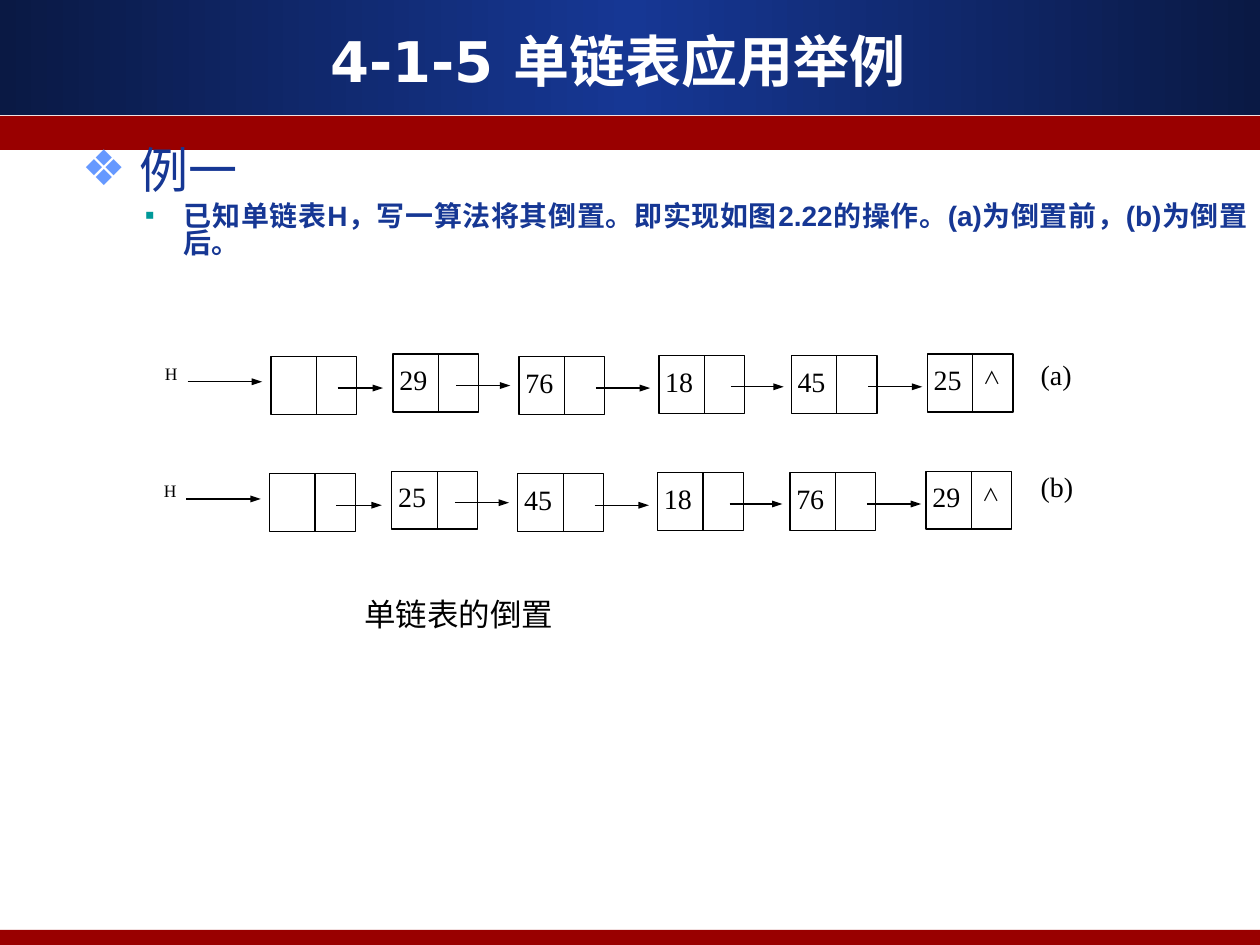
from copy import deepcopy
from dataclasses import dataclass

from pptx import Presentation
from pptx.dml.color import RGBColor
from pptx.enum.shapes import MSO_CONNECTOR, MSO_SHAPE
from pptx.enum.text import MSO_ANCHOR, MSO_AUTO_SIZE, PP_ALIGN
from pptx.oxml.ns import qn
from pptx.util import Inches, Pt

RECT = MSO_SHAPE.RECTANGLE
STRAIGHT = MSO_CONNECTOR.STRAIGHT
LEFT, CENTER, JUSTIFY = PP_ALIGN.LEFT, PP_ALIGN.CENTER, PP_ALIGN.JUSTIFY
TOP, MIDDLE = MSO_ANCHOR.TOP, MSO_ANCHOR.MIDDLE
NO_FIT = MSO_AUTO_SIZE.NONE
SERIF, SANS, TITLE_FONT, CJK = "Times New Roman", "Arial", "DejaVu Sans", "Noto Sans CJK SC"
BLACK, WHITE, NAVY, BLUE, RED = "000000", "FFFFFF", "0A1944", "163794", "990000"
NODE_W, NODE_H, DIVIDER_X, LINK_Y = 0.68, 0.46, 0.36, 0.25


@dataclass
class Slot:
    x: float
    y: float
    link: tuple[float, float] | None = None


@dataclass
class LinkedList:
    dx: float
    dy: float
    values: tuple[str, ...]
    label: str
    label_y: float


SLOTS = [
    Slot(2.15, 2.83, (2.68, 3.04)),
    Slot(3.12, 2.81, (3.62, 4.05)),
    Slot(4.12, 2.83, (4.73, 5.16)),
    Slot(5.23, 2.82, (5.8, 6.22)),
    Slot(6.28, 2.82, (6.89, 7.32)),
    Slot(7.36, 2.81),
]
LISTS = [
    LinkedList(0, 0, ("", "29", "76", "18", "45", "25"), "(a)", 2.84),
    LinkedList(-0.01, 0.93, ("", "25", "45", "18", "76", "29"), "(b)", 3.73),
]


def rgb(color: str) -> RGBColor:
    return RGBColor.from_string(color)


def write(p, text: str, *, size: float, font: str = SERIF, color: str = BLACK,
          bold: bool = False, align=JUSTIFY) -> None:
    p.alignment = align
    r = p.add_run()
    r.text = text
    r.font.size, r.font.name, r.font.bold = Pt(size), font, bold
    r.font.color.rgb = rgb(color)
    r.font._element.get_or_add_latin().addnext(
        r.font._element.makeelement(qn("a:ea"), {"typeface": CJK}))


def place(sp, x: float, y: float, w: float, h: float, anchor) -> None:
    sp.left, sp.top, sp.width, sp.height = map(Inches, (x, y, w, h))
    tf = sp.text_frame
    tf.word_wrap, tf.auto_size, tf.vertical_anchor = True, NO_FIT, anchor


def add_label(s, text: str, x: float, y: float, w: float, h: float,
              indent: float = 0, **fmt) -> None:
    sp = s.shapes.add_textbox(0, 0, 0, 0)
    place(sp, x, y, w, h, TOP)
    tf = sp.text_frame
    tf.margin_left = Inches(indent)
    tf.margin_top = tf.margin_right = tf.margin_bottom = 0
    write(tf.paragraphs[0], text, **fmt)


def add_rect(s, x: float, y: float, w: float, h: float, fill: str, line: str | None = None):
    sp = s.shapes.add_shape(RECT, *map(Inches, (x, y, w, h)))
    sp.shadow.inherit = False
    sp.fill.solid()
    sp.fill.fore_color.rgb = rgb(fill)
    if line:
        sp.line.color.rgb = rgb(line)
        sp.line.width = Pt(0.75)
    else:
        sp.line.fill.background()
    return sp


def add_line(s, x1: float, y1: float, x2: float, y2: float, arrow: bool = False) -> None:
    c = s.shapes.add_connector(STRAIGHT, *map(Inches, (x1, y1, x2, y2)))
    c.line.color.rgb = rgb(BLACK)
    c.line.width = Pt(0.75)
    pr = c._element.spPr
    if arrow:
        ln = c.line._get_or_add_ln()
        ln.append(ln.makeelement(qn("a:tailEnd"), {"type": "triangle", "w": "sm", "len": "med"}))
    pr.append(pr.makeelement(qn("a:effectLst"), {}))


def set_gradient(sp, colors: tuple[str, ...]) -> None:
    sp.fill.gradient()
    sp.fill.gradient_angle = 0
    stops = sp.fill.gradient_stops
    first = stops[0]._gs
    first.addnext(deepcopy(first))
    for i, (stop, color) in enumerate(zip(sp.fill.gradient_stops, colors)):
        stop.position = i / (len(colors) - 1)
        stop.color.rgb = rgb(color)


def set_bullet(p, char: str, color: str, margin: float, hang: float, before: float) -> None:
    p.line_spacing = 0.8
    p.space_before = Pt(before)
    pr = p._p.get_or_add_pPr()
    pr.set("marL", str(Inches(margin)))
    pr.set("indent", str(-Inches(hang)))
    clr = pr.makeelement(qn("a:buClr"), {})
    clr.append(clr.makeelement(qn("a:srgbClr"), {"val": color}))
    pr.append(clr)
    pr.append(pr.makeelement(qn("a:buChar"), {"char": char}))


def add_bands(s) -> None:
    header = add_rect(s, 0, 0, 10, 0.91, NAVY)
    set_gradient(header, (NAVY, BLUE, NAVY))
    bands = [header, add_rect(s, 0, 0.92, 10, 0.27, RED), add_rect(s, 0, 7.38, 10, 0.12, RED)]
    for i, band in enumerate(bands):
        s.shapes._spTree.insert(2 + i, band._element)


def add_text(s) -> None:
    title, body = s.shapes.title, s.placeholders[1]
    place(title, 0.28, 0.17, 9.25, 0.62, MIDDLE)
    write(title.text_frame.paragraphs[0], "4-1-5 单链表应用举例", size=32, font=TITLE_FONT,
          color=WHITE, bold=True, align=CENTER)
    place(body, 0.55, 1.15, 9.45, 5.91, TOP)
    p = body.text_frame.paragraphs[0]
    set_bullet(p, "❖", "6699FF", 0.46, 0.46, 7)
    write(p, "例一", size=28, font=SANS, color=BLUE)
    p = body.text_frame.add_paragraph()
    p.level = 1
    set_bullet(p, "▪", "009999", 0.81, 0.31, 4)
    write(p, "已知单链表H，写一算法将其倒置。即实现如图2.22的操作。(a)为倒置前，(b)为倒置后。",
          size=16, font=SANS, color=BLUE, bold=True)


def add_list(s, lst: LinkedList) -> None:
    add_label(s, "H", 1.31 + lst.dx, 2.88 + lst.dy, 0.37, 0.35, size=10)
    head_y = 3.03 + lst.dy
    add_line(s, 1.49 + lst.dx, head_y, 2.08 + lst.dx, head_y, arrow=True)
    for slot, value in zip(SLOTS, lst.values):
        x, y = slot.x + lst.dx, slot.y + lst.dy
        add_rect(s, x, y, NODE_W, NODE_H, WHITE, BLACK)
        add_line(s, x + DIVIDER_X, y, x + DIVIDER_X, y + NODE_H)
        if value:
            add_label(s, value, x + 0.05, y + 0.07, 0.26, 0.34, size=16)
        if slot.link:
            start, end = slot.link
            add_line(s, start + lst.dx, y + LINK_Y, end + lst.dx, y + LINK_Y, arrow=True)
        else:
            add_label(s, "∧", x + 0.45, y + 0.1, 0.2, 0.28, size=10, font=CJK)
    add_label(s, lst.label, 8.26, lst.label_y, 0.36, 0.44, size=16)


def main() -> None:
    prs = Presentation()
    prs.slide_width, prs.slide_height = Inches(10), Inches(7.5)
    s = prs.slides.add_slide(prs.slide_layouts[1])
    add_bands(s)
    add_text(s)
    for lst in LISTS:
        add_list(s, lst)
    add_label(s, "单链表的倒置", 1.71, 4.72, 5.07, 0.44, indent=1.18, size=18, align=LEFT)
    prs.save("out.pptx")


if __name__ == "__main__":
    main()
